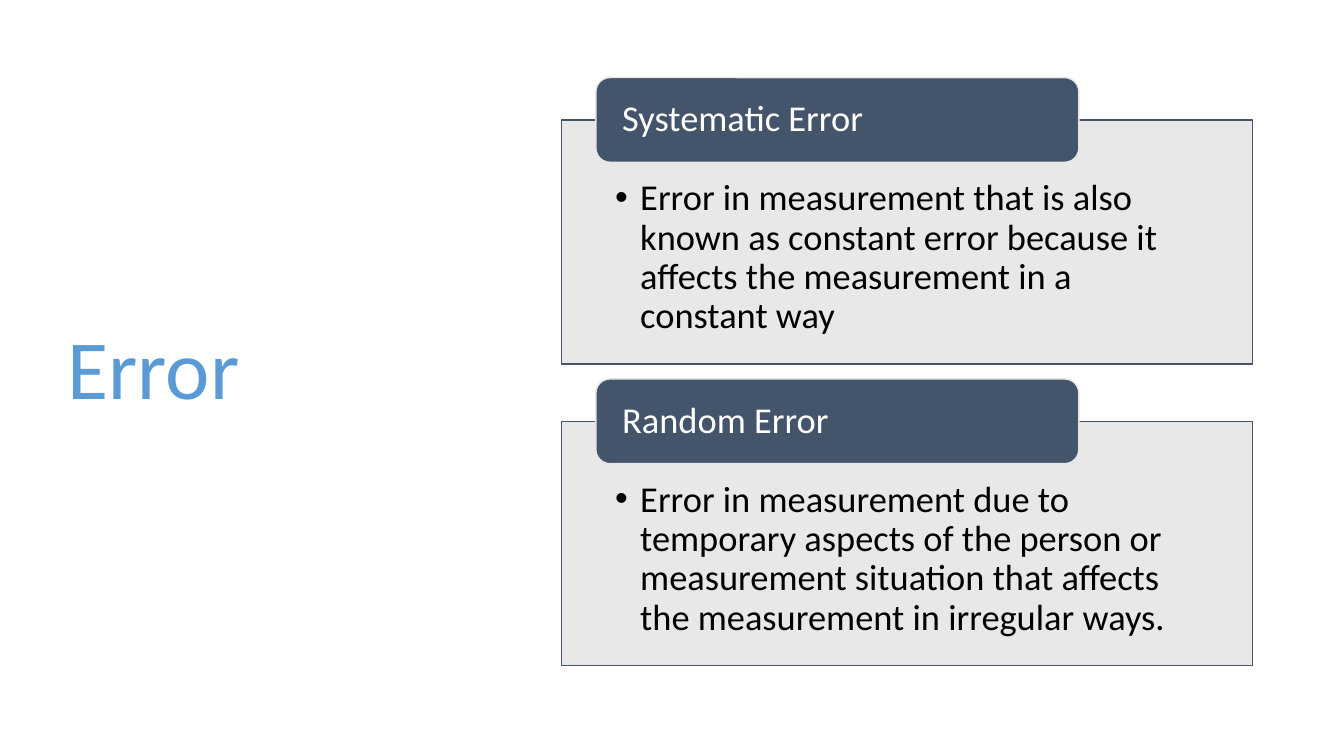
from lxml.etree import SubElement
from pptx import Presentation
from pptx.dml.color import RGBColor
from pptx.enum.shapes import MSO_SHAPE as Shape
from pptx.enum.text import MSO_ANCHOR as Anchor, PP_ALIGN as Align
from pptx.oxml.ns import qn
from pptx.util import Inches, Pt

BLUE = RGBColor(0x5B, 0x9B, 0xD5)
SLATE = RGBColor(0x44, 0x54, 0x6A)
GRAY = RGBColor(0xE7, 0xE6, 0xE6)
BLACK = RGBColor(0, 0, 0)
WHITE = RGBColor(0xFF, 0xFF, 0xFF)

ERRORS = [
    ("Systematic Error",
     "Error in measurement that is also known as constant error because it "
     "affects the measurement in a constant way"),
    ("Random Error",
     "Error in measurement due to temporary aspects of the person or "
     "measurement situation that affects the measurement in irregular ways."),
]
FIRST_TOP, STEP = 0.77, 2.99


def add_box(kind, left, top, width, height, fill, line):
    box = slide.shapes.add_shape(
        kind, Inches(left), Inches(top), Inches(width), Inches(height))
    box.shadow.inherit = False
    box.fill.solid()
    box.fill.fore_color.rgb = fill
    box.line.color.rgb = line
    box.line.width = Pt(1)
    return box


def set_text(box, text, size, color, anchor, insets):
    frame = box.text_frame
    frame.word_wrap = True
    frame.vertical_anchor = anchor
    (frame.margin_left, frame.margin_top,
     frame.margin_right, frame.margin_bottom) = map(Inches, insets)
    frame.text = text
    para = frame.paragraphs[0]
    para.alignment = Align.LEFT
    para.line_spacing = 0.9
    font = para.runs[0].font
    font.name = "Calibri"
    font.size = Pt(size)
    font.color.rgb = color
    return para


deck = Presentation()
deck.slide_width, deck.slide_height = Inches(13.33), Inches(7.5)
slide = deck.slides.add_slide(deck.slide_layouts[5])

# Title
title = slide.shapes.title
title.left, title.top = Inches(0.57), Inches(0.68)
title.width, title.height = Inches(4.16), Inches(6.02)
set_text(title, "Error", 60, BLUE, Anchor.MIDDLE, (0.1, 0.05, 0.1, 0.05))

for index, (name, definition) in enumerate(ERRORS):
    top = FIRST_TOP + index * STEP

    # Definition panel, slightly transparent
    panel = add_box(Shape.RECTANGLE, 5.57, top + 0.42, 6.85, 2.42, GRAY, SLATE)
    color = panel.fill._xPr.find(qn("a:solidFill"))[0]
    SubElement(color, qn("a:alpha"), val="90000")
    para = set_text(panel, definition, 26, BLACK, Anchor.TOP,
                    (0.53, 0.59, 0.53, 0.2))
    properties = para._p.get_or_add_pPr()
    properties.set("marL", str(Inches(0.25)))
    properties.set("indent", str(Inches(-0.25)))
    SubElement(properties, qn("a:buFont"), typeface="Arial")
    SubElement(properties, qn("a:buChar"), char="•")

    # Heading tab over the panel's top edge
    tab = add_box(Shape.ROUNDED_RECTANGLE, 5.91, top, 4.79, 0.84, SLATE, GRAY)
    set_text(tab, name, 26, WHITE, Anchor.MIDDLE, (0.22, 0, 0.22, 0))

deck.save("out.pptx")
